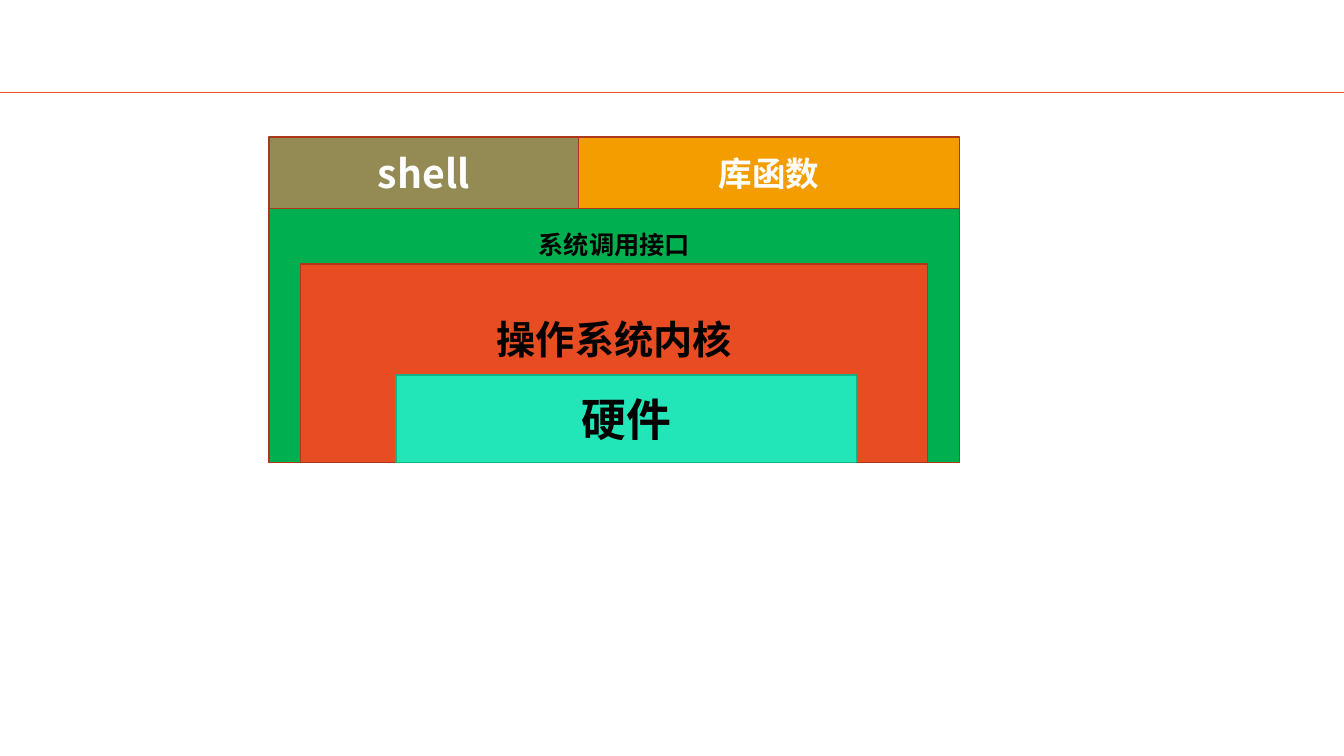
from dataclasses import dataclass

from pptx import Presentation
from pptx.dml.color import RGBColor
from pptx.enum.shapes import MSO_CONNECTOR, MSO_SHAPE
from pptx.enum.text import MSO_ANCHOR, PP_ALIGN
from pptx.oxml.ns import qn
from pptx.util import Cm, Pt

RECT = MSO_SHAPE.RECTANGLE
LINE = MSO_CONNECTOR.STRAIGHT
MIDDLE = MSO_ANCHOR.MIDDLE
CENTER = PP_ALIGN.CENTER


@dataclass(frozen=True)
class Theme:
    font: str = "Noto Sans CJK SC"
    black: str = "000000"
    white: str = "FFFFFF"
    red: str = "E84C22"
    rust: str = "AC3819"
    green: str = "00B050"
    mint: str = "22E6B7"
    teal: str = "14B28B"
    olive: str = "948A54"
    amber: str = "F49D00"
    small: int = 18
    medium: int = 24
    large: int = 28
    huge: int = 32
    thin: float = 0.5
    edge: float = 1


THEME = Theme()


def rgb(color):
    return RGBColor.from_string(color)


def write(shape, text, *, size, color=THEME.black, lift=0):
    frame = shape.text_frame
    frame.word_wrap = True
    frame.vertical_anchor = MIDDLE
    frame.margin_top = 0
    frame.margin_bottom = Cm(lift)
    para = frame.paragraphs[0]
    para.alignment = CENTER
    run = para.add_run()
    run.text = text
    font = run.font
    font.name = THEME.font
    font.size = Pt(size)
    font.bold = True
    font.color.rgb = rgb(color)
    east = run._r.get_or_add_rPr().makeelement(qn("a:ea"), {"typeface": THEME.font})
    font._element.find(qn("a:latin")).addnext(east)


def block(slide, box, text, fill, edge=THEME.rust, **style):
    shape = slide.shapes.add_shape(RECT, *map(Cm, box))
    shape.shadow.inherit = False
    shape.fill.solid()
    shape.fill.fore_color.rgb = rgb(fill)
    shape.line.color.rgb = rgb(edge)
    shape.line.width = Pt(THEME.edge)
    write(shape, text, **style)


def rule(slide, left, top, width):
    line = slide.shapes.add_connector(LINE, Cm(left), Cm(top), Cm(left + width), Cm(top))
    line.line.color.rgb = rgb(THEME.red)
    line.line.width = Pt(THEME.thin)
    props = line._element.spPr
    props.append(props.makeelement(qn("a:effectLst"), {}))


def core(slide, left, top, width, height):
    block(slide, (left, top, width, height), "系统调用接口", THEME.green,
          size=THEME.small, lift=4.57)
    side, drop = 0.8, 1.4
    block(slide, (left + side, top + drop, width - 2 * side, height - drop),
          "操作系统内核", THEME.red, size=THEME.large, lift=1.23)
    inset, depth = 3.2, 2.2
    block(slide, (left + inset, top + height - depth, 11.6, depth),
          "硬件", THEME.mint, THEME.teal, size=THEME.huge)


def tools(slide, left, top, width, height):
    split = 7.8
    block(slide, (left, top, split, height), "shell", THEME.olive,
          size=THEME.large, color=THEME.white)
    block(slide, (left + split, top, width - split, height), "库函数", THEME.amber,
          size=THEME.medium, color=THEME.white)


def system(slide, left, top, width, height):
    head = 1.8
    core(slide, left, top + head, width, height - head)
    tools(slide, left, top, width, head)


def main():
    deck = Presentation()
    deck.slide_width = Cm(33.87)
    deck.slide_height = Cm(19.05)
    slide = deck.slides.add_slide(deck.slide_layouts[6])
    rule(slide, 0, 2.32, 33.87)
    system(slide, 6.78, 3.45, 17.4, 8.2)
    deck.save("out.pptx")


if __name__ == "__main__":
    main()
